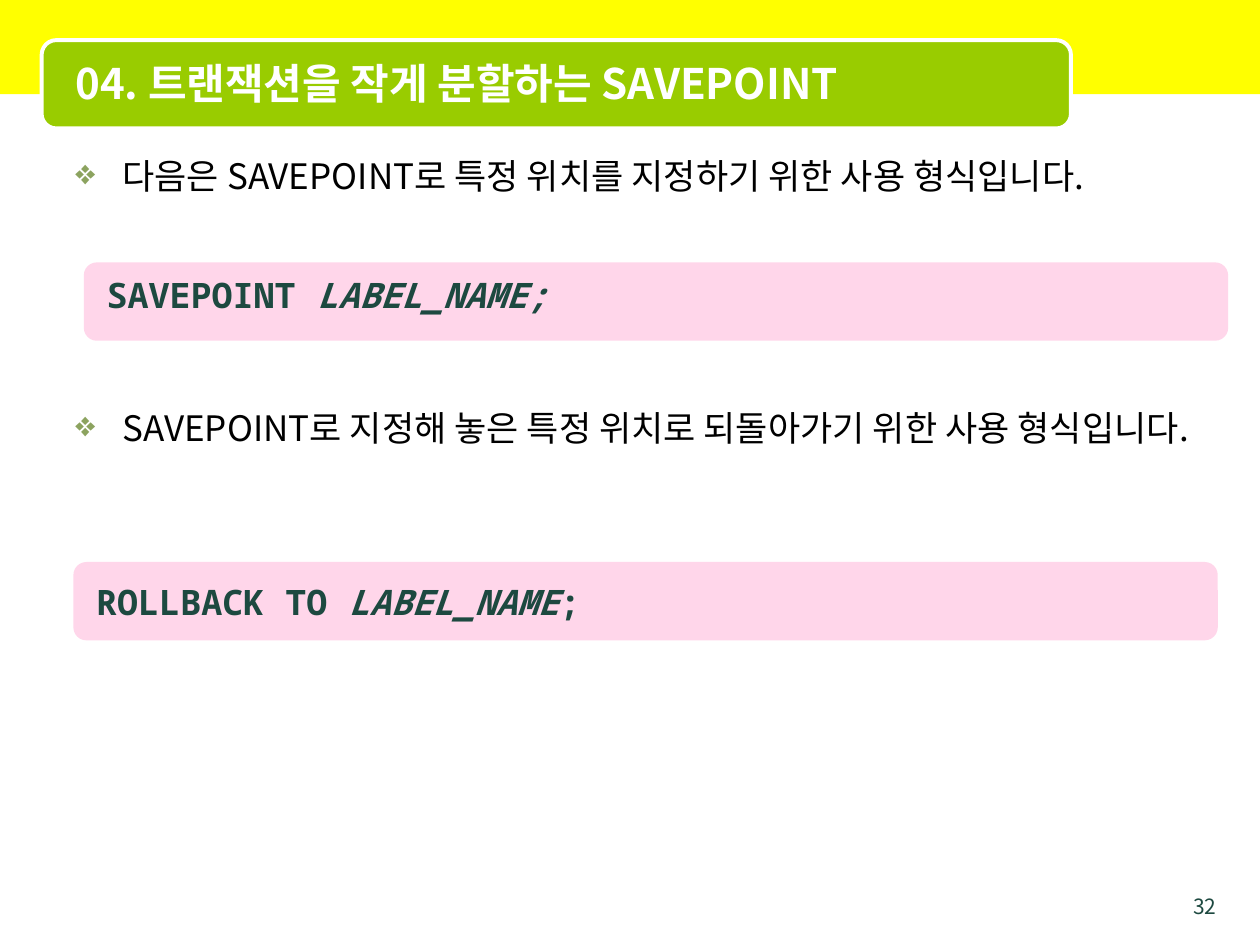
from lxml import etree
from pptx import Presentation
from pptx.dml.color import RGBColor
from pptx.enum.shapes import MSO_SHAPE
from pptx.enum.text import MSO_ANCHOR, PP_ALIGN
from pptx.oxml.ns import qn
from pptx.util import Cm, Pt

RECTANGLE, ROUNDED = MSO_SHAPE.RECTANGLE, MSO_SHAPE.ROUNDED_RECTANGLE
TOP, MIDDLE = MSO_ANCHOR.TOP, MSO_ANCHOR.MIDDLE
LEFT, RIGHT = PP_ALIGN.LEFT, PP_ALIGN.RIGHT
SANS, MONO = "Noto Sans CJK KR", "Noto Sans Mono"
COLORS = {"band": "FFFF00", "title": "99CC00", "white": "FFFFFF", "black": "000000",
          "code": "1D4940", "panel": "FF99CC", "bullet": "8CA35F"}


def color(name):
    """Return the named colour."""
    return RGBColor.from_string(COLORS[name])


def add_box(slide, kind, box, fill):
    """Add a filled shape without outline or shadow."""
    shape = slide.shapes.add_shape(kind, *map(Cm, box))
    shape.shadow.inherit = False
    shape.fill.solid()
    shape.fill.fore_color.rgb = color(fill)
    shape.line.fill.background()
    return shape


def add_text_frame(slide, box, anchor=TOP):
    """Add a wrapping text box and return its frame."""
    frame = slide.shapes.add_textbox(*map(Cm, box)).text_frame
    frame.word_wrap = True
    frame.vertical_anchor = anchor
    return frame


def style(paragraph, name, size, fill, bold=False, align=LEFT):
    """Set alignment and the font shared by all runs."""
    paragraph.alignment = align
    font = paragraph.font
    font.name, font.size, font.bold = name, Pt(size), bold
    font.color.rgb = color(fill)
    for run in paragraph.runs:
        properties = run._r.get_or_add_rPr()
        etree.SubElement(properties, qn("a:ea"), typeface=name)


def add_header(slide, box, title):
    """Draw the top band with the title plate over its lower edge."""
    left, top, width, height = box
    add_box(slide, RECTANGLE, box, "band")
    plate = add_box(slide, ROUNDED, (left + 0.84, top + 0.81, 20.75, 1.78), "title")
    plate.line.color.rgb = color("white")
    plate.line.width = Pt(2.25)
    frame = add_text_frame(slide, (left + 1.27, top + 0.89, 20.12, 1.57), MIDDLE)
    frame.text = title
    style(frame.paragraphs[0], SANS, 24, "white", bold=True)


def add_bullets(slide, box, items, gap):
    """Write the bulleted sentences with a gap for a code panel after each."""
    frame = add_text_frame(slide, box)
    for index, item in enumerate(items):
        paragraph = frame.add_paragraph() if index else frame.paragraphs[0]
        paragraph.text = item
        paragraph.line_spacing = Pt(24)
        if index:
            paragraph.space_before = Pt(gap)
        properties = paragraph._p.get_or_add_pPr()
        properties.set("marL", str(Cm(0.95)))
        properties.set("indent", str(-Cm(0.95)))
        bullet_color = etree.SubElement(properties, qn("a:buClr"))
        etree.SubElement(bullet_color, qn("a:srgbClr"), val=COLORS["bullet"])
        etree.SubElement(properties, qn("a:buChar"), char="❖")
        style(paragraph, SANS, 20, "black")


def add_code_panel(slide, box, text_offset, parts):
    """Draw a translucent panel holding one line of (text, italic) parts."""
    left, top, width, height = box
    panel = add_box(slide, ROUNDED, box, "panel")
    fill_color = panel._element.spPr.find(qn("a:solidFill"))[0]
    etree.SubElement(fill_color, qn("a:alpha"), val="40000")
    frame = add_text_frame(slide, (left + 0.21, top + text_offset, width - 0.2, 1.12))
    paragraph = frame.paragraphs[0]
    for text, italic in parts:
        run = paragraph.add_run()
        run.text = text
        run.font.italic = italic
    style(paragraph, MONO, 20, "code", bold=True)


def add_page_number(slide, box, number):
    """Write the page number at the right of its box."""
    frame = add_text_frame(slide, box)
    frame.text = number
    style(frame.paragraphs[0], SANS, 12, "code", align=RIGHT)


def main():
    """Build the slide and save it."""
    presentation = Presentation()
    presentation.slide_width, presentation.slide_height = Cm(25.4), Cm(19.05)
    slide = presentation.slides.add_slide(presentation.slide_layouts[6])
    add_header(slide, (0, 0, 25.4, 1.9), "04. 트랜잭션을 작게 분할하는 SAVEPOINT")
    add_page_number(slide, (23.5, 17.88, 1.27, 0.53), "32")
    add_bullets(slide, (1.27, 3, 22.86, 15.6), [
        "다음은 SAVEPOINT로 특정 위치를 지정하기 위한 사용 형식입니다.",
        "SAVEPOINT로 지정해 놓은 특정 위치로 되돌아가기 위한 사용 형식입니다.",
    ], gap=120)
    add_code_panel(slide, (1.69, 5.29, 23.07, 1.58), 0.1,
                   [("SAVEPOINT ", False), ("LABEL_NAME;", True)])
    add_code_panel(slide, (1.48, 11.33, 23.07, 1.58), 0.25,
                   [("ROLLBACK TO ", False), ("LABEL_NAME", True), (";", False)])
    presentation.save("out.pptx")


if __name__ == "__main__":
    main()
